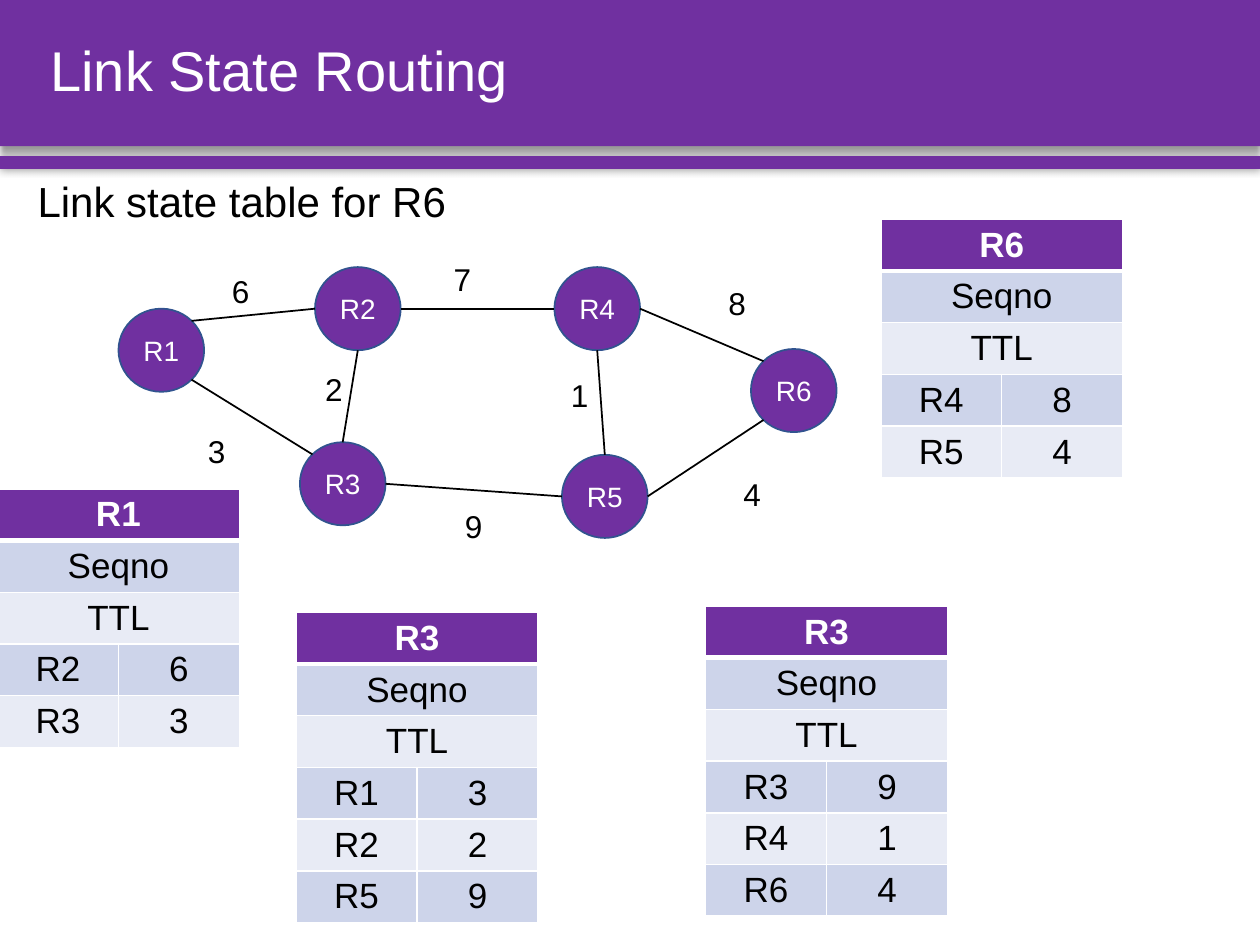
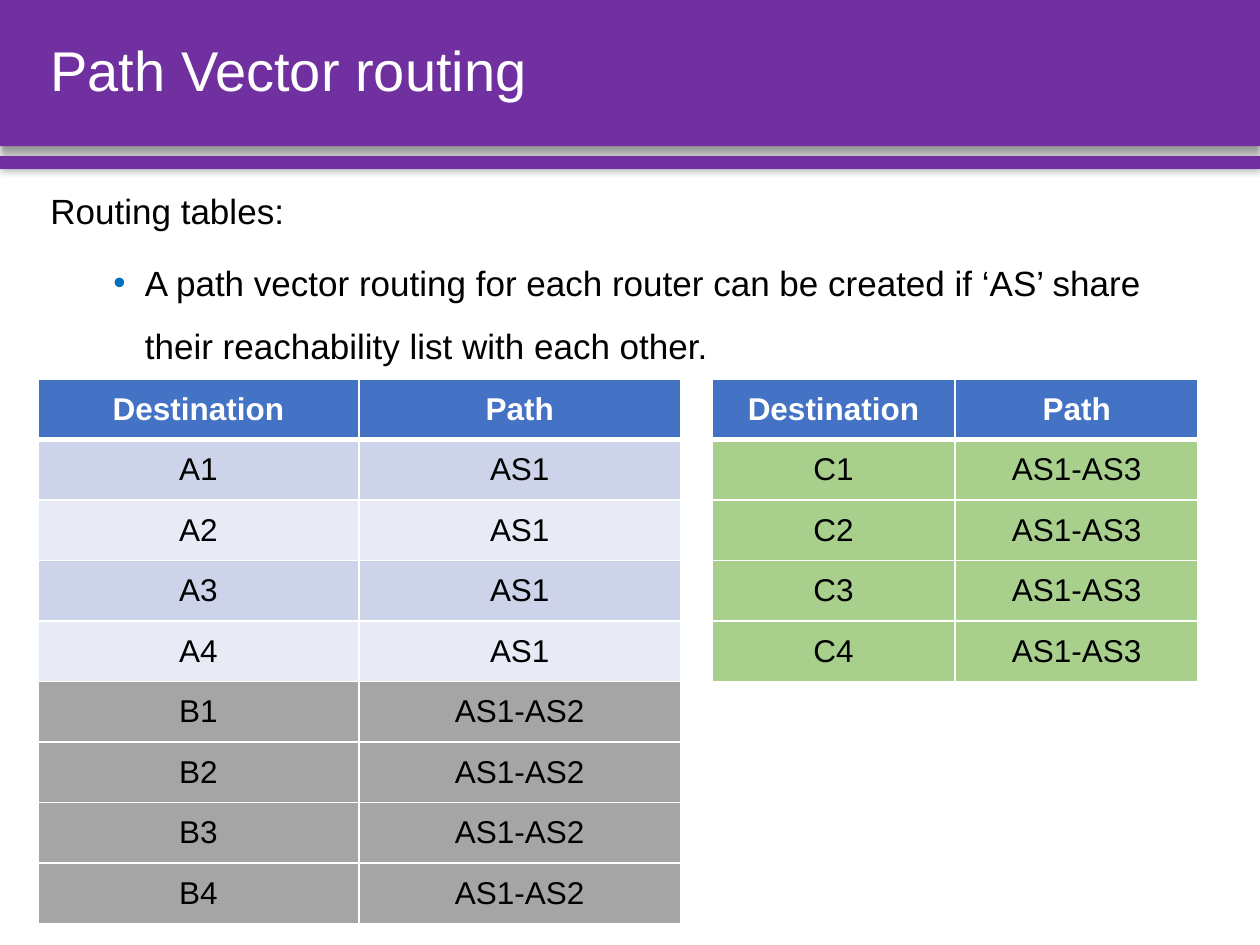
import math
import lxml.etree
import pptx
import pptx.dml.color
import pptx.enum.shapes
import pptx.enum.text
import pptx.oxml.ns
import pptx.util

Inches, Pt = pptx.util.Inches, pptx.util.Pt
ALIGN = pptx.enum.text.PP_ALIGN
ANCHOR = pptx.enum.text.MSO_ANCHOR
SHAPE = pptx.enum.shapes.MSO_SHAPE
qn = pptx.oxml.ns.qn

# Shared look
FONT = "Arial"
PURPLE, BLUE, EDGE = "7030A0", "4472C4", "31538F"
WHITE, BLACK, BULLET = "FFFFFF", "000000", "0070C0"
DARK, LIGHT, GRAY, GREEN = "CDD4EA", "E8EBF5", "A5A5A5", "A8D08C"
BANDS = [  # top, height, shadow blur, distance, angle
    (0, 1.16, 4, 3, 90),
    (1.24, 0.1, 5, 0, 0),
]

# Slide 1: network graph and link state packets
NODE_W, NODE_H = 0.68, 0.66
NODES = {
    "R1": (0.94, 2.45), "R2": (2.5, 2.12), "R4": (4.4, 2.12),
    "R6": (5.96, 2.77), "R3": (2.38, 3.51), "R5": (4.46, 3.61),
}
ANGLES = {"E": 0, "SE": 45, "S": 90, "SW": 135,
          "W": 180, "NW": 225, "N": 270, "NE": 315}
LINKS = [  # node, side, node, side, cost, left and top of the cost
    ("R1", "NE", "R2", "W", 6, 1.63, 2.12),
    ("R1", "SE", "R3", "NW", 3, 1.44, 3.39),
    ("R3", "E", "R5", "W", 9, 3.48, 3.98),
    ("R2", "E", "R4", "W", 7, 3.39, 2.02),
    ("R4", "E", "R6", "NW", 8, 5.57, 2.21),
    ("R5", "E", "R6", "SW", 4, 5.69, 3.73),
    ("R3", "N", "R2", "S", 2, 2.37, 2.9),
    ("R5", "N", "R4", "S", 1, 4.32, 2.94),
]
PACKETS = [  # left, top, router, neighbours with cost
    (-0.02, 3.88, "R1", [("R2", 6), ("R3", 3)]),
    (2.35, 4.86, "R3", [("R1", 3), ("R2", 2), ("R5", 9)]),
    (5.6, 4.81, "R3", [("R3", 9), ("R4", 1), ("R6", 4)]),
    (6.99, 1.74, "R6", [("R4", 8), ("R5", 4)]),
]

# Slide 2: routing tables
INTRO = "Routing tables:"
POINT = ("A path vector routing for each router can be created if ‘AS’ "
         "share their reachability list with each other.")
ROUTES = [  # left, column width, (network, route, row fills)
    (0.3, 2.55, [("A", "AS1", (DARK, LIGHT)), ("B", "AS1-AS2", (GRAY, GRAY))]),
    (5.65, 1.93, [("C", "AS1-AS3", (GREEN, GREEN))]),
]
HOSTS = 4


def rgb(code):
    return pptx.dml.color.RGBColor.from_string(code)


def box(*sizes):
    return [Inches(size) for size in sizes]


def add(parent, tag, **attrs):
    return lxml.etree.SubElement(parent, qn(tag), attrs)


def paint(shape, fill, line=None):
    shape.shadow.inherit = False
    shape.fill.solid()
    shape.fill.fore_color.rgb = rgb(fill)
    if line:
        shape.line.color.rgb = rgb(line)
        shape.line.width = Pt(1)
    else:
        shape.line.fill.background()


def style(para, size, color=BLACK, bold=False, align=None):
    para.font.name = FONT
    para.font.size = Pt(size)
    para.font.bold = bold
    para.font.color.rgb = rgb(color)
    if align is not None:
        para.alignment = align


def write(shape, text, size, color=BLACK, anchor=ANCHOR.MIDDLE,
          align=ALIGN.CENTER):
    frame = shape.text_frame
    frame.word_wrap = True
    frame.auto_size = pptx.enum.text.MSO_AUTO_SIZE.NONE
    frame.vertical_anchor = anchor
    frame.text = str(text)
    style(frame.paragraphs[0], size, color, align=align)
    return frame


def place(shape, *sizes):
    shape.left, shape.top, shape.width, shape.height = box(*sizes)


def add_bands(prs, slide):
    """Draw the title bands and move them behind everything on the master."""
    tree = prs.slide_master.shapes.element
    for spot, (top, height, blur, dist, angle) in enumerate(BANDS, 2):
        band = slide.shapes.add_shape(SHAPE.RECTANGLE, *box(0, top, 10, height))
        paint(band, PURPLE)
        effects = band.element.spPr.find(qn("a:effectLst"))
        shade = add(effects, "a:outerShdw", blurRad=str(Pt(blur)),
                    dist=str(Pt(dist)), dir=str(angle * 60000),
                    algn="ctr", rotWithShape="0")
        add(add(shade, "a:srgbClr", val=BLACK), "a:alpha", val="40000")
        tree.insert(spot, band.element)


def set_title(slide, text):
    title = slide.shapes.title
    place(title, 0.3, 0, 9.46, 1.16)
    frame = write(title, text, 32, WHITE, align=ALIGN.LEFT)
    frame.paragraphs[0].line_spacing = 0.9


def set_borders(cell, top, bottom):
    props = cell._tc.get_or_add_tcPr()
    sides = (("L", 1), ("R", 1), ("T", top), ("B", bottom))
    for spot, (side, width) in enumerate(sides):
        line = lxml.etree.Element(qn("a:ln" + side), w=str(Pt(width)))
        add(add(line, "a:solidFill"), "a:srgbClr", val=WHITE)
        props.insert(spot, line)


def add_grid(slide, left, top, col_w, row_h, rows, fills, size, anchor):
    """Add a two-column table; a row with one entry spans both columns."""
    count = len(rows)
    grid = slide.shapes.add_table(
        count, 2, *box(left, top, 2 * col_w, count * row_h)).table
    for r, (row, fill) in enumerate(zip(rows, fills)):
        grid.rows[r].height = Inches(row_h)
        for c in range(2):
            cell = grid.cell(r, c)
            cell.fill.solid()
            cell.fill.fore_color.rgb = rgb(fill)
            set_borders(cell, 3 if r == 1 else 1, 3 if r == 0 else 1)
            cell.vertical_anchor = anchor
            if c < len(row):
                cell.text = str(row[c])
                style(cell.text_frame.paragraphs[0], size,
                      BLACK if r else WHITE, r == 0, ALIGN.CENTER)
        if len(row) == 1:
            grid.cell(r, 0).merge(grid.cell(r, 1))


def rim(name, side):
    """Point on the edge of a node."""
    left, top = NODES[name]
    turn = math.radians(ANGLES[side])
    return box(left + NODE_W / 2 * (1 + math.cos(turn)),
               top + NODE_H / 2 * (1 + math.sin(turn)))


def link_slide(slide):
    set_title(slide, "Link State Routing")
    shapes = slide.shapes
    label = shapes.add_textbox(*box(0.2, 1.34, 4.17, 0.69))
    write(label, "Link state table for R6", 24,
          anchor=ANCHOR.TOP, align=ALIGN.LEFT)

    # Graph
    for name, (left, top) in NODES.items():
        node = shapes.add_shape(SHAPE.FLOWCHART_CONNECTOR,
                                *box(left, top, NODE_W, NODE_H))
        paint(node, PURPLE, EDGE)
        write(node, name, 16, WHITE)
    for start, out, end, into, cost, left, top in LINKS:
        line = shapes.add_connector(
            pptx.enum.shapes.MSO_CONNECTOR.STRAIGHT,
            *rim(start, out), *rim(end, into))
        line.line.color.rgb = rgb(BLACK)
        line.line.width = Pt(1)
        add(line.element.spPr, "a:effectLst")
        write(shapes.add_textbox(*box(left, top, 0.56, 0.38)), cost, 18)

    # Packets
    for left, top, name, costs in PACKETS:
        rows = [(name,), ("Seqno",), ("TTL",)] + costs
        fills = [PURPLE] + [DARK, LIGHT] * 3
        add_grid(slide, left, top, 0.96, 0.41, rows, fills, 20, ANCHOR.TOP)


def vector_slide(slide):
    set_title(slide, "Path Vector routing")
    body = slide.placeholders[1]
    place(body, 0.3, 1.29, 9.46, 5.66)
    frame = write(body, INTRO, 20, anchor=ANCHOR.TOP, align=ALIGN.LEFT)
    intro = frame.paragraphs[0]
    intro.line_spacing = 1.5
    intro.space_before = Pt(0)
    props = intro._p.get_or_add_pPr()
    props.set("marL", "0")
    props.set("indent", "0")
    props.insert(2, lxml.etree.Element(qn("a:buNone")))

    # Bullet
    point = frame.add_paragraph()
    point.text = POINT
    point.level = 1
    point.line_spacing = 1.5
    point.space_before = Pt(5)
    props = point._p.get_or_add_pPr()
    props.set("marL", str(Inches(0.75)))
    props.set("indent", str(Inches(-0.25)))
    add(add(props, "a:buClr"), "a:srgbClr", val=BULLET)
    add(props, "a:buFont", typeface=FONT)
    add(props, "a:buChar", char="•")
    style(point, 20)

    # Tables
    for left, width, groups in ROUTES:
        rows, fills = [("Destination", "Path")], [BLUE]
        for net, route, tones in groups:
            for host in range(HOSTS):
                rows.append((f"{net}{host + 1}", route))
                fills.append(tones[host % 2])
        add_grid(slide, left, 3.01, width, 0.48, rows, fills, 18,
                 ANCHOR.MIDDLE)


def main():
    prs = pptx.Presentation()
    prs.slide_width, prs.slide_height = box(10, 7.5)
    first = prs.slides.add_slide(prs.slide_layouts[5])
    add_bands(prs, first)
    link_slide(first)
    vector_slide(prs.slides.add_slide(prs.slide_layouts[1]))
    prs.save("out.pptx")


if __name__ == "__main__":
    main()
